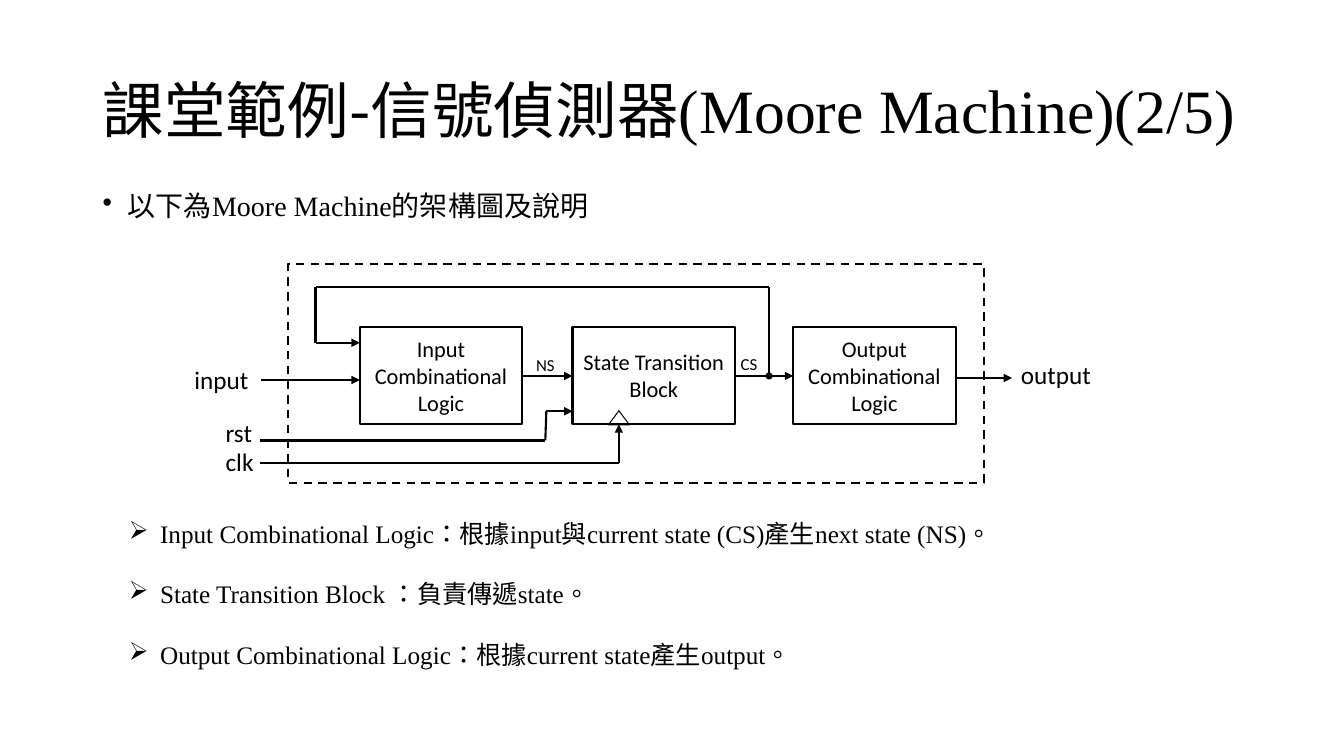
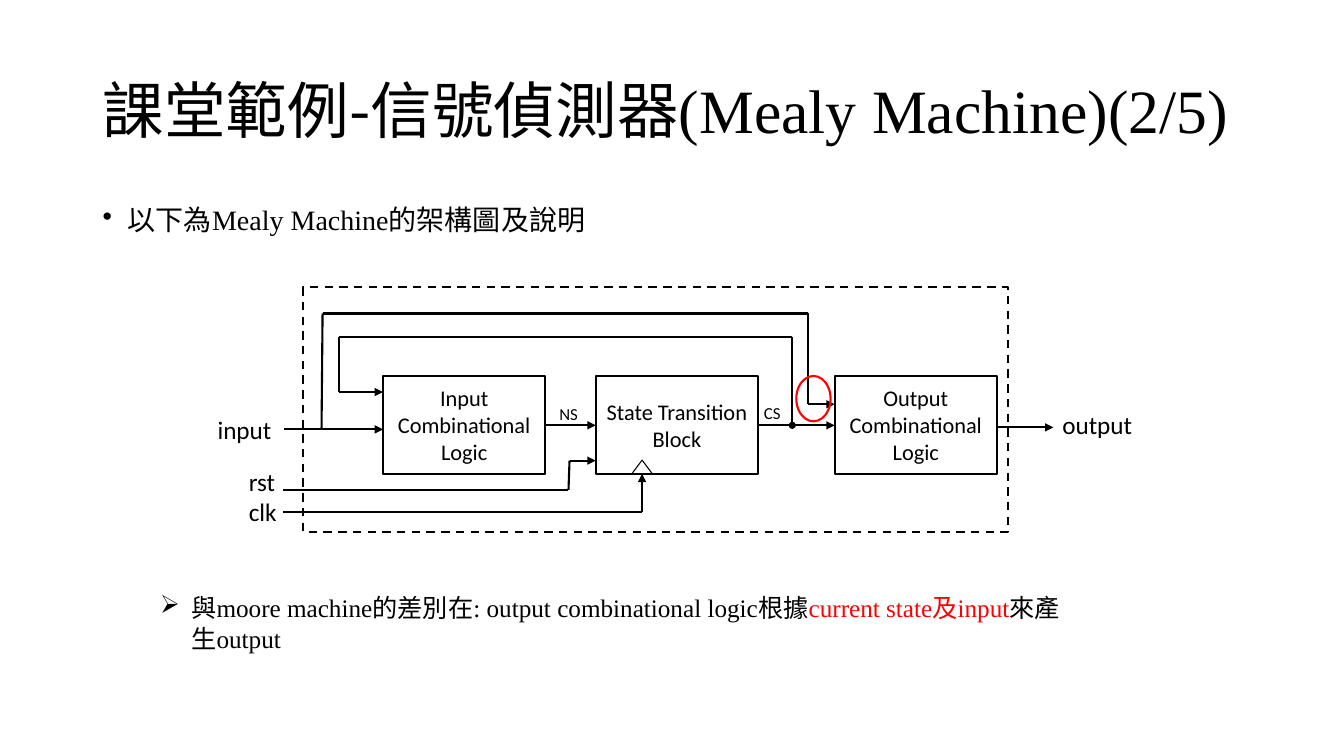
from dataclasses import dataclass
from itertools import pairwise

from lxml import etree
from pptx import Presentation
from pptx import util as u
from pptx.dml.color import RGBColor
from pptx.enum import dml, shapes, text
from pptx.oxml.ns import qn

BLACK = RGBColor(0x00, 0x00, 0x00)
WHITE = RGBColor(0xFF, 0xFF, 0xFF)
RED = RGBColor(0xFF, 0x00, 0x00)

HAN = "Noto Sans CJK SC"
SERIF = "Times New Roman"
SANS = "Calibri"

CELL = u.Inches(0.1)
SLIDE_COLS, SLIDE_ROWS = 133.33, 75
BLOCK_COLS, BLOCK_ROWS = 16.1, 9.7
STATE_COL = 21.1
SIGNAL_ROW = 4.9
TAP_COL = 40.6
CLOCK_COL = 25.7
DOT = 0.7

SHAPE = shapes.MSO_SHAPE


def span(cells: float) -> u.Emu:
    return u.Emu(round(cells * CELL))


@dataclass(frozen=True)
class Area:
    col: float
    row: float
    cols: float
    rows: float

    def shifted(self, col: float, row: float) -> "Area":
        return Area(self.col + col, self.row + row, self.cols, self.rows)

    def lengths(self) -> list[u.Emu]:
        return [span(n) for n in (self.col, self.row, self.cols, self.rows)]


@dataclass(frozen=True)
class Words:
    content: str
    face: str = SERIF
    color: RGBColor = BLACK


@dataclass(frozen=True)
class Style:
    size: float
    align: text.PP_ALIGN = text.PP_ALIGN.LEFT
    anchor: text.MSO_ANCHOR = text.MSO_ANCHOR.TOP
    bullet: str = ""
    indent: float = 0
    line_spacing: float = 1.0
    before: float = 0
    between: float = 0
    grow: bool = False


@dataclass(frozen=True)
class Wire:
    stops: tuple[tuple[float, float], ...]
    arrow: bool = True


@dataclass(frozen=True)
class Machine:
    name: str
    title_cols: float
    lead: Area
    lead_spacing: float
    origin: tuple[float, float]
    output_col: float
    frame: Area
    notes: Area
    note_lines: tuple[tuple[Words, ...], ...]
    input_bypass: bool = False


TITLE = Style(44, anchor=text.MSO_ANCHOR.MIDDLE, line_spacing=0.9)
BLOCK = Style(16, align=text.PP_ALIGN.CENTER, anchor=text.MSO_ANCHOR.MIDDLE)
NOTES = Style(18, bullet="➢", indent=3.1, between=21.7, grow=True)
PORT = Style(18, grow=True)
STATE_NAME = Style(12, grow=True)


def write(frame: text, lines: tuple[tuple[Words, ...], ...], style: Style) -> None:
    frame.word_wrap = True
    frame.vertical_anchor = style.anchor
    frame.auto_size = (text.MSO_AUTO_SIZE.SHAPE_TO_FIT_TEXT if style.grow
                       else text.MSO_AUTO_SIZE.NONE)
    for index, line in enumerate(lines):
        paragraph = frame.add_paragraph() if index else frame.paragraphs[0]
        paragraph.alignment = style.align
        paragraph.line_spacing = style.line_spacing
        paragraph.space_before = u.Pt(style.between if index else style.before)
        if style.bullet:
            properties = paragraph._p.get_or_add_pPr()
            properties.set("marL", str(span(style.indent)))
            properties.set("indent", str(-span(style.indent)))
            etree.SubElement(properties, qn("a:buChar")).set("char", style.bullet)
        for words in line:
            run = paragraph.add_run()
            run.text = words.content
            run.font.size = u.Pt(style.size)
            run.font.name = words.face
            run.font.color.rgb = words.color
            properties = run._r.get_or_add_rPr()
            properties.set("lang", "zh-TW")
            etree.SubElement(properties, qn("a:ea")).set("typeface", HAN)


class Sheet:
    def __init__(self, deck: Presentation, origin: tuple[float, float]) -> None:
        self.shapes = deck.slides.add_slide(deck.slide_layouts[6]).shapes
        self.origin = origin

    def passage(self, area: Area, lines: tuple[tuple[Words, ...], ...],
                style: Style) -> None:
        write(self.shapes.add_textbox(*area.lengths()).text_frame, lines, style)

    def label(self, area: Area, content: str, style: Style) -> None:
        self.passage(area.shifted(*self.origin), ((Words(content, SANS),),), style)

    def figure(self, kind: SHAPE, area: Area, fill: RGBColor | None = None,
               line: RGBColor | None = BLACK, weight: float = 1.5,
               dashed: bool = False, caption: tuple[str, ...] = ()) -> None:
        figure = self.shapes.add_shape(kind, *area.shifted(*self.origin).lengths())
        figure.shadow.inherit = False
        if fill is None:
            figure.fill.background()
        else:
            figure.fill.solid()
            figure.fill.fore_color.rgb = fill
        if line is None:
            figure.line.fill.background()
        else:
            figure.line.color.rgb = line
            figure.line.width = u.Pt(weight)
        if dashed:
            figure.line.dash_style = dml.MSO_LINE.DASH
        if caption:
            write(figure.text_frame,
                  tuple((Words(part, SANS),) for part in caption), BLOCK)

    def wire(self, wire: Wire) -> None:
        left, top = self.origin
        legs = list(pairwise(wire.stops))
        for index, ((x1, y1), (x2, y2)) in enumerate(legs, start=1):
            leg = self.shapes.add_connector(
                shapes.MSO_CONNECTOR.STRAIGHT, span(left + x1), span(top + y1),
                span(left + x2), span(top + y2))
            leg.line.color.rgb = BLACK
            leg.line.width = u.Pt(1.5)
            if wire.arrow and index == len(legs):
                tip = etree.SubElement(leg.line._get_or_add_ln(), qn("a:tailEnd"))
                tip.set("type", "triangle")
            etree.SubElement(leg._element.spPr, qn("a:effectLst"))


def draw_diagram(sheet: Sheet, machine: Machine) -> None:
    output = machine.output_col
    output_end = output + BLOCK_COLS
    blocks = (
        (0, ("Input Combinational Logic",)),
        (STATE_COL, ("State Transition Block",)),
        (output, ("Output Combinational", "Logic")),
    )
    for col, caption in blocks:
        sheet.figure(SHAPE.RECTANGLE, Area(col, 0, BLOCK_COLS, BLOCK_ROWS),
                     fill=WHITE, caption=caption)

    wires = [
        Wire(((-9.8, 5.3), (0, 5.3))),
        Wire(((output_end, 5.1), (output_end + 5.6, 5.1))),
        Wire(((BLOCK_COLS, SIGNAL_ROW), (STATE_COL, SIGNAL_ROW))),
        Wire(((STATE_COL + BLOCK_COLS, SIGNAL_ROW), (output, SIGNAL_ROW))),
        Wire(((TAP_COL, SIGNAL_ROW), (TAP_COL, -3.9), (-4.4, -3.9),
              (-4.4, 1.6), (0, 1.6))),
        Wire(((-9.9, 11.3), (18.4, 11.3), (18.5, 8.4), (STATE_COL, 8.4))),
        Wire(((-9.9, 13.5), (CLOCK_COL, 13.5), (CLOCK_COL, BLOCK_ROWS))),
    ]
    if machine.input_bypass:
        wires.append(Wire(((-6.1, 5.3), (-6, -6.2), (42.2, -6.2),
                           (42.2, 2.8), (output, 2.8))))
    for wire in wires:
        sheet.wire(wire)

    sheet.figure(SHAPE.ISOSCELES_TRIANGLE,
                 Area(CLOCK_COL - 1.05, BLOCK_ROWS - 1.35, 2.1, 1.4), weight=0.75)
    sheet.figure(SHAPE.OVAL, Area(TAP_COL - DOT / 2, SIGNAL_ROW - DOT / 2, DOT, DOT),
                 fill=BLACK, line=None)
    sheet.figure(SHAPE.RECTANGLE, machine.frame, dashed=True)

    ports = (
        (Area(output_end + 5.5, 2.8, 10, 4), "output"),
        (Area(-17.4, 3.3, 7.6, 4), "input"),
        (Area(-14.3, 8.5, 5, 4), "rst"),
        (Area(-14.3, 11.4, 5, 4), "clk"),
    )
    for area, name in ports:
        sheet.label(area, name, PORT)
    for col, row, name in ((16.5, 2.3, "NS"), (36.8, 2.2, "CS")):
        sheet.label(Area(col, row, 4, 3), name, STATE_NAME)

    if machine.input_bypass:
        sheet.figure(SHAPE.OVAL, Area(41, 0, 3.4, 4.5), line=RED)


def draw_machine(deck: Presentation, machine: Machine) -> None:
    sheet = Sheet(deck, machine.origin)
    sheet.passage(Area(9.2, 4, machine.title_cols, 14.5),
                  ((Words("課堂範例-信號偵測器", HAN),
                    Words(f"({machine.name} Machine)(2/5)")),), TITLE)
    lead = Style(20, bullet="•", indent=2.5, before=10,
                 line_spacing=machine.lead_spacing)
    sheet.passage(machine.lead,
                  ((Words("以下為", HAN), Words(f"{machine.name} Machine"),
                    Words("的架構圖及說明", HAN)),), lead)
    draw_diagram(sheet, machine)
    sheet.passage(machine.notes, machine.note_lines, NOTES)


MACHINES = (
    Machine(
        name="Moore", title_cols=116.6,
        lead=Area(9.2, 18.9, 115, 4), lead_spacing=0.8,
        origin=(35.7, 32.4), output_col=43,
        frame=Area(-7.1, -6.2, 69, 21.7),
        notes=Area(11.8, 50.9, 94.8, 16.2),
        note_lines=(
            (Words("Input Combinational Logic："), Words("根據", HAN),
             Words("input"), Words("與", HAN), Words("current state (CS)"),
             Words("產生", HAN), Words("next state (NS)。")),
            (Words("State Transition Block ：負責傳遞state。"),),
            (Words("Output Combinational Logic："), Words("根據", HAN),
             Words("current state"), Words("產生", HAN), Words("output"),
             Words("。", HAN)),
        ),
    ),
    Machine(
        name="Mealy", title_cols=115,
        lead=Area(9.2, 20, 115, 47.6), lead_spacing=0.9,
        origin=(38, 37.3), output_col=44.8,
        frame=Area(-7.9, -8.8, 69.9, 24.3),
        notes=Area(14.9, 58.3, 93.7, 7.1),
        note_lines=(
            (Words("與moore machine的差別在: output combinational logic根據"),
             Words("current state及input", color=RED),
             Words("來產生output")),
        ),
        input_bypass=True,
    ),
)


def main() -> None:
    deck = Presentation()
    deck.slide_width, deck.slide_height = span(SLIDE_COLS), span(SLIDE_ROWS)
    for machine in MACHINES:
        draw_machine(deck, machine)
    deck.save("out.pptx")


main()
